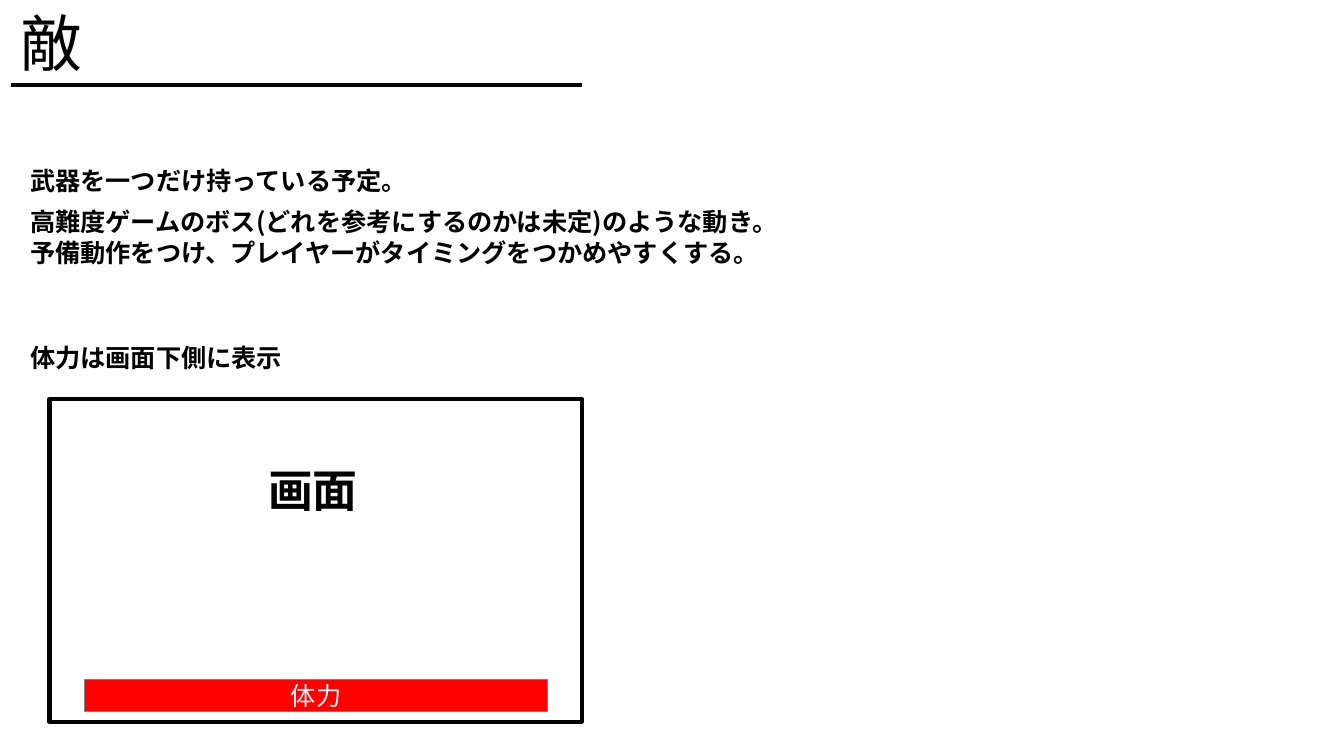
import pptx
import pptx.dml.color
import pptx.enum.shapes
import pptx.enum.text
import pptx.oxml.ns
import pptx.util
from lxml import etree
from pptx.util import Inches

FONT = "Noto Sans CJK JP"
COLORS = {"black": "000000", "white": "FFFFFF", "red": "FF0000", "gray": "808080"}


def color(name):
    return pptx.dml.color.RGBColor.from_string(COLORS[name])


def write_text(shape, text, size=18, bold=False, ink="black", align="LEFT",
               anchor="TOP", wrap=True, grow=True):
    """Fill a shape with text, one paragraph per line."""
    frame = shape.text_frame
    frame.text = text
    frame.word_wrap = wrap
    frame.vertical_anchor = pptx.enum.text.MSO_ANCHOR[anchor]
    if grow:
        frame.auto_size = pptx.enum.text.MSO_AUTO_SIZE.SHAPE_TO_FIT_TEXT
    for paragraph in frame.paragraphs:
        paragraph.alignment = pptx.enum.text.PP_ALIGN[align]
        font = paragraph.runs[0].font
        font.name = FONT
        font.size = pptx.util.Pt(size)
        font.bold = bold
        font.color.rgb = color(ink)
        # Japanese glyphs take the East Asian typeface
        east_asian = etree.SubElement(font._element, pptx.oxml.ns.qn("a:ea"))
        east_asian.set("typeface", FONT)


presentation = pptx.Presentation()
presentation.slide_width = Inches(13.33)
presentation.slide_height = Inches(7.5)
slide = presentation.slides.add_slide(presentation.slide_layouts[6])

# Heading with its rule
heading = slide.shapes.add_group_shape()
title = heading.shapes.add_textbox(Inches(0.11), Inches(0), Inches(5.37), Inches(0.84))
write_text(title, "敵", size=44)
rule = heading.shapes.add_connector(
    pptx.enum.shapes.MSO_CONNECTOR.STRAIGHT,
    Inches(0.11), Inches(0.84), Inches(5.77), Inches(0.84))
rule.line.color.rgb = color("black")
rule.line.width = pptx.util.Pt(3)
etree.SubElement(rule._element.spPr, pptx.oxml.ns.qn("a:effectLst"))

# Notes on the enemy
notes = [
    (1.59, 3.99, 0.4, "武器を一つだけ持っている予定。"),
    (2, 7.73, 0.71, "高難度ゲームのボス(どれを参考にするのかは未定)のような動き。\n"
                    "予備動作をつけ、プレイヤーがタイミングをつかめやすくする。"),
    (3.35, 2.73, 0.4, "体力は画面下側に表示"),
]
for top, width, height, text in notes:
    note = slide.shapes.add_textbox(Inches(0.2), Inches(top), Inches(width), Inches(height))
    write_text(note, text, bold=True, wrap=False)

# Screen mock-up with the health bar
boxes = [
    (0.49, 3.96, 5.28, 3.2, "white", "black", 3),
    (0.84, 6.74, 4.59, 0.32, "red", "gray", 1),
]
for left, top, width, height, fill, outline, weight in boxes:
    box = slide.shapes.add_shape(
        pptx.enum.shapes.MSO_SHAPE.RECTANGLE,
        Inches(left), Inches(top), Inches(width), Inches(height))
    box.shadow.inherit = False
    box.fill.solid()
    box.fill.fore_color.rgb = color(fill)
    box.line.color.rgb = color(outline)
    box.line.width = pptx.util.Pt(weight)
    if fill == "red":
        write_text(box, "体力", ink="white", align="CENTER", anchor="MIDDLE", grow=False)

screen_label = slide.shapes.add_textbox(Inches(2.56), Inches(4.54), Inches(1.29), Inches(0.64))
write_text(screen_label, "画面", size=32, bold=True)

presentation.save("out.pptx")
